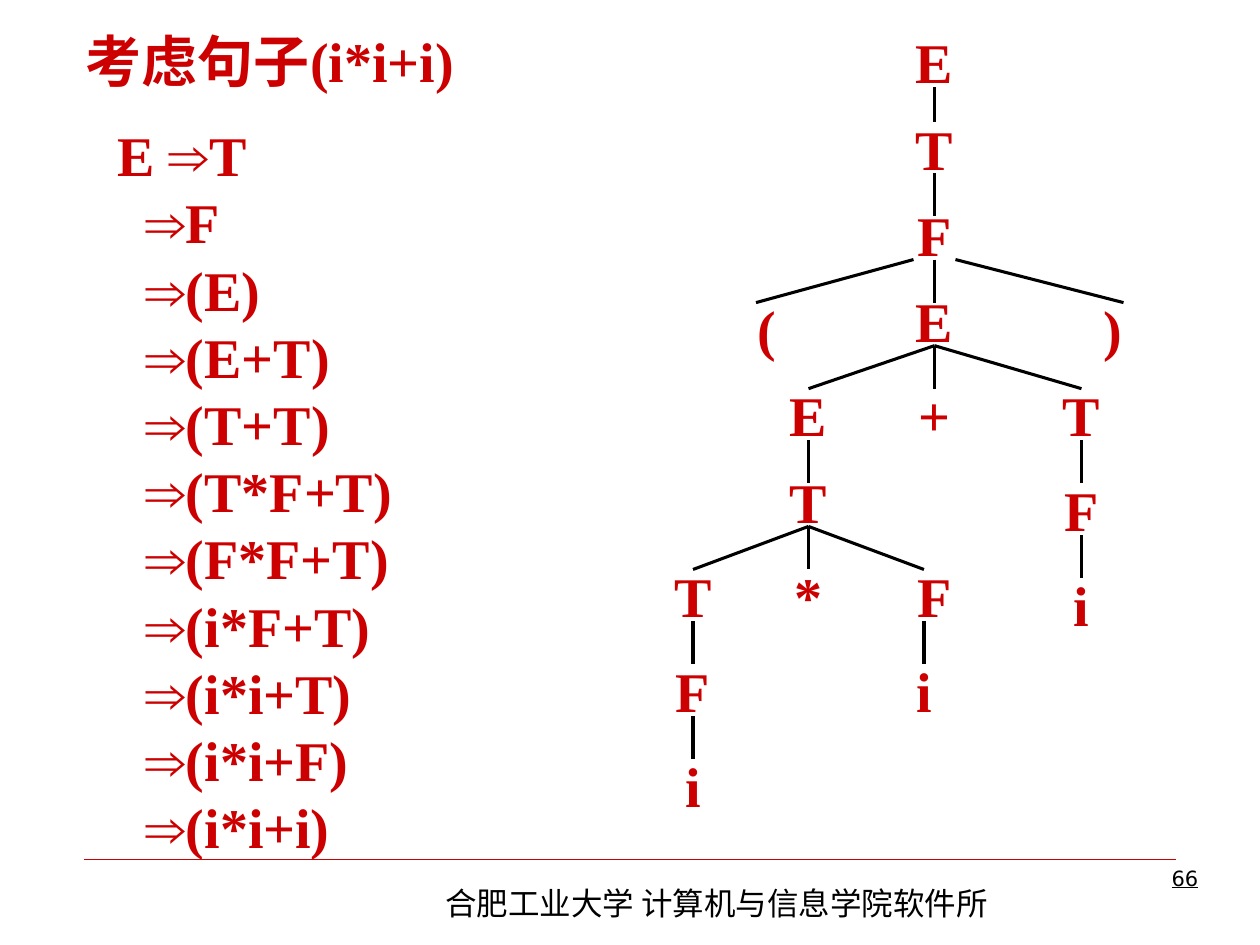
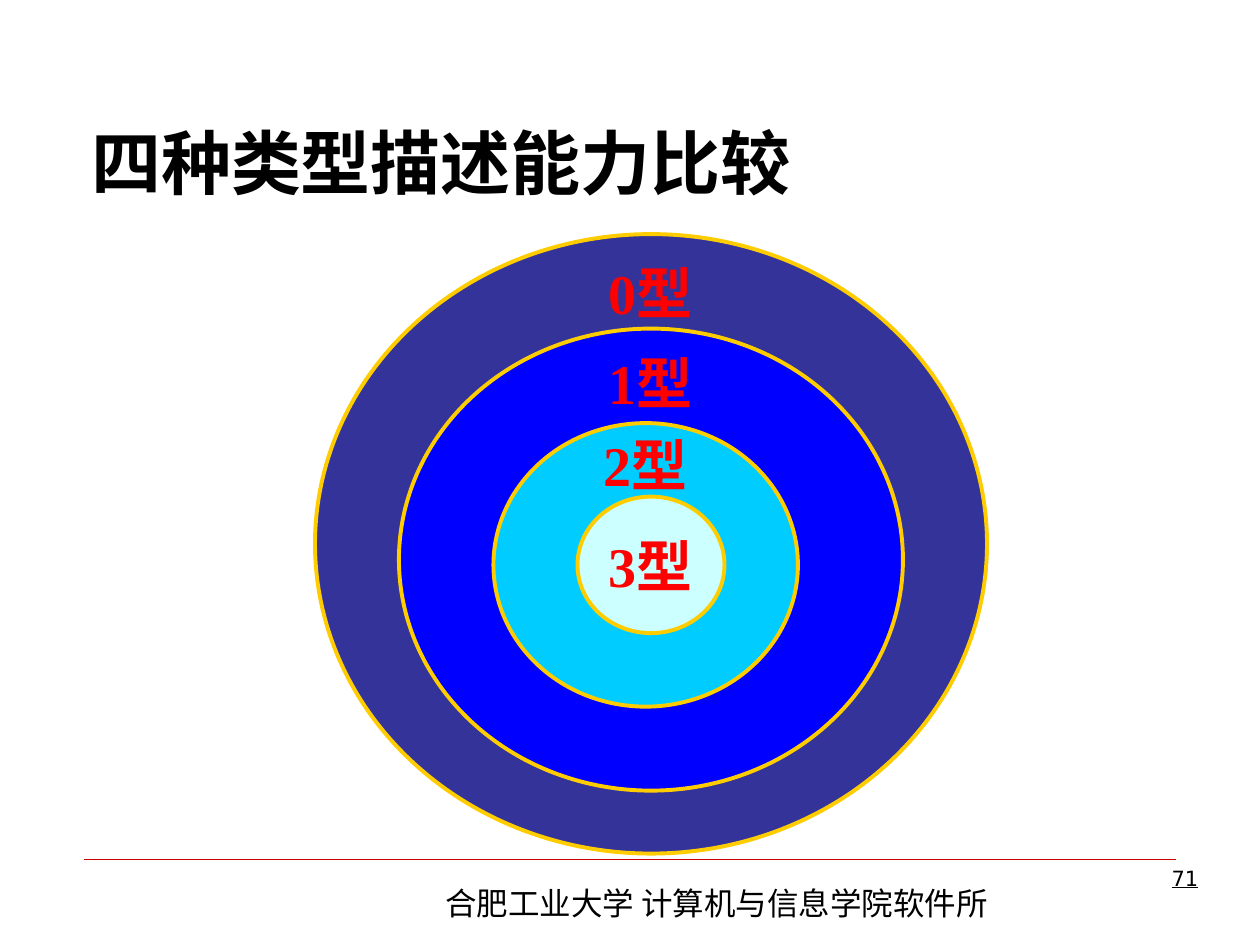
from typing import Any, NamedTuple

from lxml import etree
from pptx import Presentation
from pptx.dml.color import RGBColor
from pptx.enum.shapes import MSO_CONNECTOR, MSO_SHAPE
from pptx.enum.text import MSO_ANCHOR, PP_ALIGN
from pptx.oxml.ns import qn
from pptx.util import Inches, Pt

LEFT, MID, RIGHT = PP_ALIGN.LEFT, PP_ALIGN.CENTER, PP_ALIGN.RIGHT
TOP, CENTER, BASE = MSO_ANCHOR.TOP, MSO_ANCHOR.MIDDLE, MSO_ANCHOR.BOTTOM
OVAL, LINE = MSO_SHAPE.OVAL, MSO_CONNECTOR.STRAIGHT

# Page grid: 120 columns by 90 rows
WIDE, HIGH = Inches(10), Inches(7.5)
COLS, ROWS = 120, 90

COLORS = {
    "ink": "000000", "red": "CC0000", "label": "FF0000", "rim": "FFCC00",
    "navy": "333399", "blue": "0000FF", "cyan": "00CCFF", "pale": "CCFFFF",
}
SERIF, SANS, HAN, PLAIN = "Times New Roman", "Arial", "Noto Sans CJK SC", "DejaVu Sans"


# Text styles
class Style(NamedTuple):
    color: str
    font: dict[str, Any]


TREE = Style("red", {"name": SERIF, "size": Pt(32), "bold": True})
ARROW = Style("red", {**TREE.font, "name": SANS})
RING = Style("label", TREE.font)
TITLE = Style("ink", {"name": HAN, "size": Pt(40), "bold": True})
FOOT = Style("ink", {"name": HAN, "size": Pt(18)})
NUMBER = Style("ink", {"name": PLAIN, "size": Pt(12), "underline": True})


class Box(NamedTuple):
    col: float
    row: float
    wide: float
    high: float


class Node(NamedTuple):
    text: str
    col: float
    step: float


class Edge(NamedTuple):
    start: float
    end: float
    step: float
    drop: float = 1


class Ring(NamedTuple):
    text: str
    fill: str
    box: Box
    mid: float


# Parse tree: columns of the page, steps down the tree
TREE_TOP, STEP, NODE_WIDE, NODE_HIGH = 3.4, 4.1, 8, 1.2
NODES = [
    Node("E", 89, 0), Node("T", 89, 2), Node("F", 89, 4),
    Node("(", 73, 6.2), Node("E", 89, 6), Node(")", 106, 6.2),
    Node("E", 77, 8.2), Node("+", 89, 8.2), Node("T", 103, 8.2),
    Node("T", 77, 10.2), Node("F", 103, 10.4),
    Node("T", 66, 12.4), Node("*", 77, 12.4), Node("F", 89, 12.4),
    Node("i", 103, 12.6),
    Node("F", 66, 14.6), Node("i", 88, 14.6), Node("i", 66, 16.8),
]
EDGES = [
    Edge(89, 89, 1.2, 0.8), Edge(89, 89, 3.2),
    Edge(87, 72, 5.2), Edge(89, 89, 5.2), Edge(91, 107, 5.2),
    Edge(89, 77, 7.2), Edge(89, 89, 7.2), Edge(89, 103, 7.2),
    Edge(77, 77, 9.4), Edge(103, 103, 9.4),
    Edge(77, 66, 11.4), Edge(77, 77, 11.4), Edge(77, 88, 11.4),
    Edge(103, 103, 11.6),
    Edge(66, 66, 13.6), Edge(88, 88, 13.6), Edge(66, 66, 15.8),
]
FORMS = ["T", "F", "(E)", "(E+T)", "(T+T)", "(T*F+T)", "(F*F+T)",
         "(i*F+T)", "(i*i+T)", "(i*i+F)", "(i*i+i)"]

# Nested grammar types, outermost first
RINGS = [
    Ring("0型", "navy", Box(30, 22.3, 64, 59), 27.8),
    Ring("1型", "blue", Box(38, 31.3, 48, 44), 36.4),
    Ring("2型", "cyan", Box(47, 40.3, 29, 27), 44.2),
    Ring("3型", "pale", Box(55, 47.3, 14, 13), 53.8),
]


def across(col: float) -> int:
    return round(WIDE * col / COLS)


def down(row: float) -> int:
    return round(HIGH * row / ROWS)


def place(box: Box) -> tuple[int, int, int, int]:
    return across(box.col), down(box.row), across(box.wide), down(box.high)


def paint(name: str) -> RGBColor:
    return RGBColor.from_string(COLORS[name])


def add_run(para: Any, text: str, style: Style) -> None:
    run = para.add_run()
    run.text = text
    for key, value in style.font.items():
        setattr(run.font, key, value)
    run.font.color.rgb = paint(style.color)
    if any("一" <= char <= "龥" for char in text):
        etree.SubElement(run._r.get_or_add_rPr(), qn("a:ea"), typeface=HAN)


def add_frame(slide: Any, box: Box, anchor: Any = TOP, wrap: bool = True) -> Any:
    frame = slide.shapes.add_textbox(*place(box)).text_frame
    frame.word_wrap = wrap
    frame.vertical_anchor = anchor
    return frame


def add_text(slide: Any, box: Box, text: str, style: Style, align: Any = LEFT,
             anchor: Any = TOP, wrap: bool = True) -> None:
    para = add_frame(slide, box, anchor, wrap).paragraphs[0]
    para.alignment = align
    add_run(para, text, style)


def add_line(slide: Any, start: tuple[float, float], end: tuple[float, float],
             color: str, width: float) -> None:
    line = slide.shapes.add_connector(
        LINE, across(start[0]), down(start[1]), across(end[0]), down(end[1]))
    line.line.color.rgb = paint(color)
    line.line.width = Pt(width)
    etree.SubElement(line._element.spPr, qn("a:effectLst"))


# Shared page parts
def add_page(deck: Any, number: int) -> Any:
    slide = deck.slides.add_slide(deck.slide_layouts[6])
    add_line(slide, (8, 81.8), (112, 81.8), "red", 0.25)
    add_text(slide, Box(41.2, 83.6, 58.5, 4.8),
             "合肥工业大学 计算机与信息学院软件所", FOOT)
    add_text(slide, Box(89.3, 81.8, 26, 6.2), str(number), NUMBER, RIGHT)
    return slide


# Derivation steps and parse tree
def draw_tree(slide: Any) -> None:
    add_text(slide, Box(7, 1.9, 49, 9), "考虑句子(i*i+i)", TREE)
    frame = add_frame(slide, Box(10, 10.9, 42, 70))
    for index, form in enumerate(FORMS):
        para = frame.add_paragraph() if index else frame.paragraphs[0]
        para.line_spacing = Pt(38.4)
        if index:
            para._p.get_or_add_pPr().set("marL", str(Pt(16)))
        else:
            add_run(para, "E ", TREE)
        add_run(para, "⇒", ARROW)
        add_run(para, form, TREE)

    for edge in EDGES:
        row = TREE_TOP + STEP * edge.step
        add_line(slide, (edge.start, row),
                 (edge.end, row + STEP * edge.drop), "ink", 1.75)
    for node in NODES:
        box = Box(node.col - NODE_WIDE / 2, TREE_TOP + STEP * node.step,
                  NODE_WIDE, STEP * NODE_HIGH)
        add_text(slide, box, node.text, TREE, MID, CENTER, False)


# Nested rings with their labels
def draw_rings(slide: Any) -> None:
    add_text(slide, Box(7.5, 4, 105, 16), "四种类型描述能力比较", TITLE, anchor=BASE)
    for ring in RINGS:
        oval = slide.shapes.add_shape(OVAL, *place(ring.box))
        oval.shadow.inherit = False
        oval.fill.solid()
        oval.fill.fore_color.rgb = paint(ring.fill)
        oval.line.color.rgb = paint("rim")
        oval.line.width = Pt(2.25)
        label = Box(ring.box.col + ring.box.wide / 2 - 7, ring.mid - 4, 14, 8)
        add_text(slide, label, ring.text, RING, MID, CENTER, False)


def main() -> None:
    deck = Presentation()
    deck.slide_width, deck.slide_height = WIDE, HIGH
    draw_tree(add_page(deck, 66))
    draw_rings(add_page(deck, 71))
    deck.save("out.pptx")


if __name__ == "__main__":
    main()
